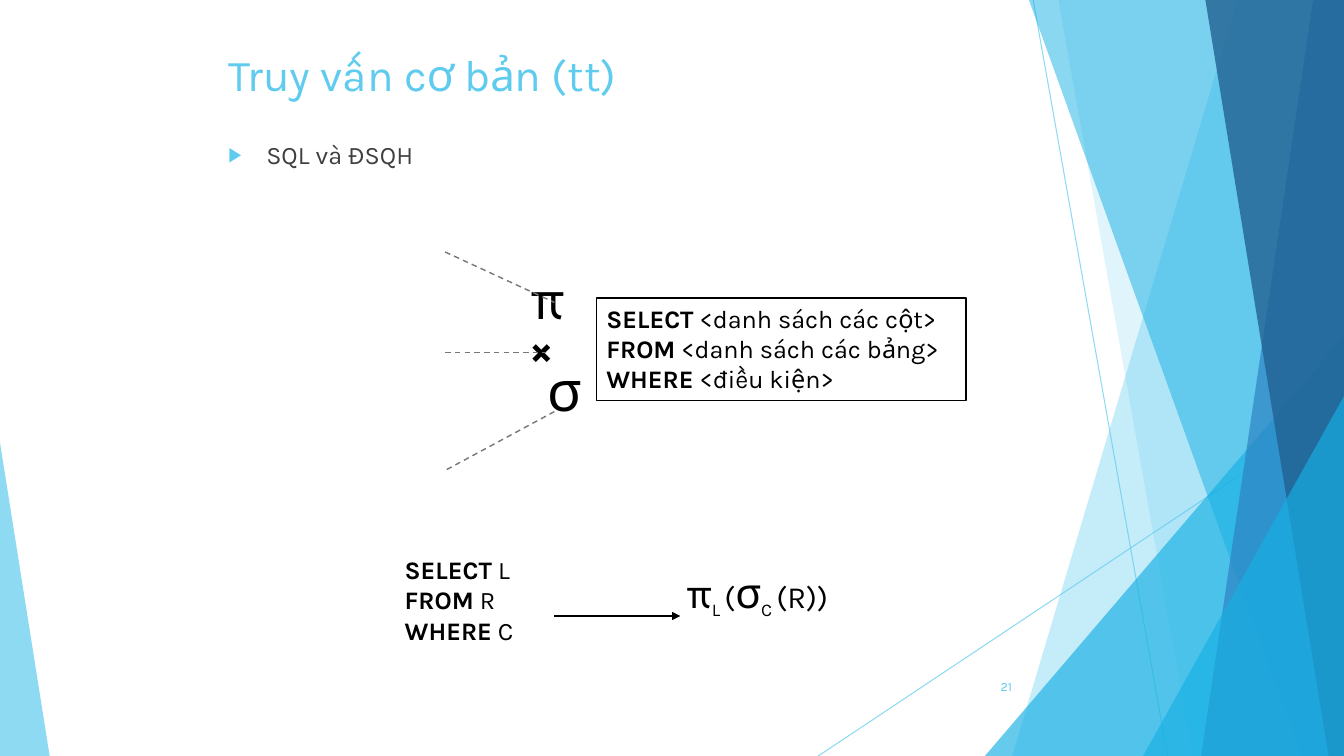
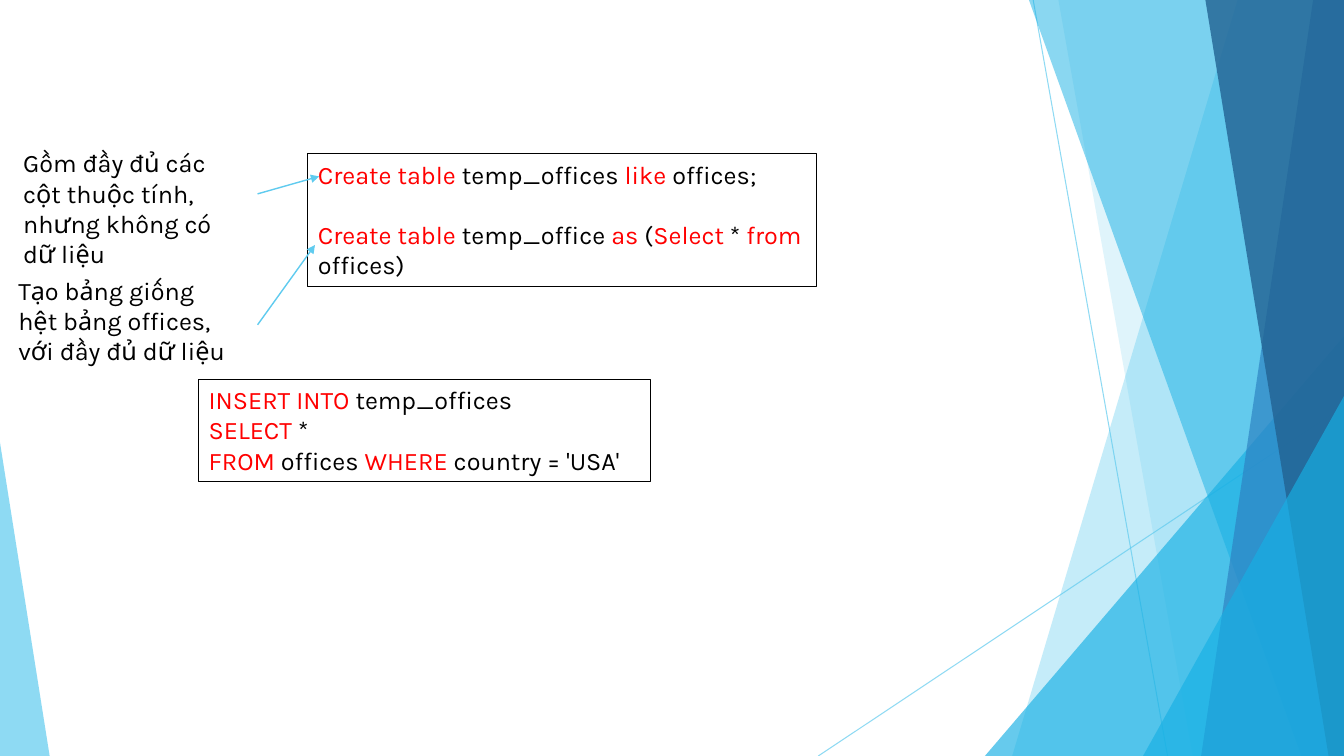
from lxml.etree import SubElement
from pptx import Presentation
from pptx.dml.color import RGBColor
from pptx.enum.dml import MSO_LINE
from pptx.enum.shapes import MSO_CONNECTOR, MSO_SHAPE
from pptx.enum.text import MSO_ANCHOR, MSO_AUTO_SIZE, PP_ALIGN
from pptx.oxml.ns import qn
from pptx.util import Pt

WIDE, HIGH = 960, 540
FONT = "Karla"
SKY, CYAN, BLUE, NAVY = "5FCBEF", "17B0E4", "2E83C3", "226292"
BLACK, RED, GRAY, DARK = "000000", "FF0000", "777777", "404040"

RAYS = [((738, 0), (834, 540)), ((960, 290), (584.5, 540))]
BANDS = [
    ("panel", (884, 723), SKY, 36),
    ("panel", (756, 852), SKY, 20),
    ("wedge", (703.5, 240, 256.5, 300, 1), CYAN, 66),
    ("panel", (735, 929.5), CYAN, 50),
    ("panel", (938, 858), BLUE, 70),
    ("panel", (861, 949), NAVY, 80),
    ("wedge", (816.5, 283, 143.5, 257, 1), CYAN, 66),
    ("wedge", (0, 316, 35.5, 224, 0), SKY, 70),
]

STYLES = {
    "plain": {},
    "bold": {"bold": True},
    "key": {"color": RED},
    "title": {"size": 31.5, "color": SKY},
    "body": {"color": DARK},
    "page": {"size": 9, "color": SKY},
    "huge": {"size": 40},
    "cross": {"size": 30, "bold": True},
    "greek": {"size": 30},
    "mid": {"size": 22},
    "sub": {"size": 22, "base": -25},
}

TITLE = [[("Truy vấn cơ bản (tt)", "title")]]
BODY = [[("SQL và ĐSQH", "body")]]


def query(*parts):
    words = ("SELECT", "FROM", "WHERE")
    return [[(word, "bold"), (" " + part, "plain")] for word, part in zip(words, parts)]


ALGEBRA = [
    ((426, 213, 264, 73), 1, query("<danh sách các cột>", "<danh sách các bảng>", "<điều kiện>")),
    ((384, 250.5, 66, 55), 0, [[("σ", "huge")]]),
    ((372, 185, 66, 55), 0, [[("π", "huge")]]),
    ((372, 227, 66, 43), 0, [[("×", "cross")]]),
    ((282, 392.5, 114, 73), 0, query("L", "R", "C")),
    ((483, 401, 150, 43), 0, [[
        ("π", "greek"), ("L ", "sub"), ("(", "mid"),
        ("σ", "greek"), ("C ", "sub"), ("(R))", "mid"),
    ]]),
]
DASHES = [((318, 180), (396, 216)), ((318, 252), (390, 252)), ((396, 294), (318, 336))]
RESULT = ((396, 440), (486, 440))

COPIES = [
    ((220, 110, 363, 94.5), 0.75, [
        [("Create table ", "key"), ("temp_offices ", "plain"), ("like", "key"), (" offices;", "plain")],
        [("Create table ", "key"), ("temp_office ", "plain"), ("as", "key"), (" (", "plain"),
         ("Select", "key"), (" * ", "plain"), ("from", "key"), (" offices)", "plain")],
    ]),
    ((142, 271, 322.5, 73), 0.75, [
        [("INSERT INTO", "key"), (" temp_offices", "plain")],
        [("SELECT", "key"), (" *", "plain")],
        [("FROM ", "key"), ("offices ", "plain"), ("WHERE", "key"), (" country = 'USA'", "plain")],
    ]),
    ((9.5, 102, 175, 73), 0, [[("Gồm đầy đủ các cột thuộc tính, nhưng không có dữ liệu", "plain")]]),
    ((6, 193, 165.5, 73), 0, [[("Tạo bảng giống hệt bảng offices, với đầy đủ dữ liệu", "plain")]]),
]
POINTERS = [((184, 138.5), (228, 126)), ((184, 232), (225, 175))]


def paint(fill, color, alpha=100):
    fill.solid()
    fill.fore_color.rgb = RGBColor.from_string(color)
    if alpha < 100:
        for tone in fill._xPr.iter(qn("a:srgbClr")):
            SubElement(tone, qn("a:alpha"), val=str(alpha * 1000))


def place(shape, spot):
    shape.left, shape.top, shape.width, shape.height = map(Pt, spot)


def write(frame, rows, gap=0):
    frame.word_wrap = True
    frame.auto_size = MSO_AUTO_SIZE.NONE
    for i, row in enumerate(rows):
        para = frame.paragraphs[0] if i == 0 else frame.add_paragraph()
        para.alignment = PP_ALIGN.LEFT
        para.space_before = Pt(gap if i else 0)
        for text, name in row:
            style = STYLES[name]
            run = para.add_run()
            run.text = text
            font = run.font
            font.name = FONT
            font.size = Pt(style.get("size", 18))
            font.bold = style.get("bold", False)
            font.color.rgb = RGBColor.from_string(style.get("color", BLACK))
            if "base" in style:
                run._r.get_or_add_rPr().set("baseline", str(style["base"] * 1000))


def draw(slide, ends, color, width=1, alpha=100, dash=False, arrow=False):
    start, end = ends
    line = slide.shapes.add_connector(MSO_CONNECTOR.STRAIGHT, *map(Pt, start + end))
    line.line.width = Pt(width)
    paint(line.line.fill, color, alpha)
    if dash:
        line.line.dash_style = MSO_LINE.DASH
    if arrow:
        SubElement(line.line._get_or_add_ln(), qn("a:tailEnd"), type="triangle")
    SubElement(line._element.spPr, qn("a:effectLst"))
    return line


def box(slide, spot, edge, rows, gap=0):
    if edge:
        shape = slide.shapes.add_shape(MSO_SHAPE.RECTANGLE, *map(Pt, spot))
        shape.shadow.inherit = False
        shape.fill.background()
        paint(shape.line.fill, BLACK)
        shape.line.width = Pt(edge)
    else:
        shape = slide.shapes.add_textbox(*map(Pt, spot))
    shape.text_frame.vertical_anchor = MSO_ANCHOR.TOP
    write(shape.text_frame, rows, gap)
    return shape


def band(slide, kind, dims, color, alpha):
    if kind == "panel":
        top, foot = dims
        path = slide.shapes.build_freeform(Pt(top), 0, scale=1)
        path.add_line_segments(
            [(Pt(x), Pt(y)) for x, y in ((WIDE, 0), (WIDE, HIGH), (foot, HIGH))], close=True)
        shape = path.convert_to_shape()
    else:
        shape = slide.shapes.add_shape(MSO_SHAPE.ISOSCELES_TRIANGLE, *map(Pt, dims[:4]))
        shape.adjustments[0] = dims[4]
    shape.shadow.inherit = False
    shape.line.fill.background()
    paint(shape.fill, color, alpha)
    return shape


def dress(deck, slide):
    parts = [draw(slide, ray, SKY, 0.75, 70) for ray in RAYS]
    parts += [band(slide, *item) for item in BANDS]
    tree = deck.slide_master.shapes.element
    for i, part in enumerate(parts):
        tree.insert(2 + i, part.element)


def bullet(para):
    props = para._p.get_or_add_pPr()
    props.set("marL", str(Pt(27)))
    props.set("indent", str(-Pt(27)))
    SubElement(SubElement(props, qn("a:buClr")), qn("a:srgbClr"), val=SKY)
    SubElement(props, qn("a:buSzPct"), val="80000")
    SubElement(props, qn("a:buFont"), typeface="Arial")
    SubElement(props, qn("a:buChar"), char="▶")


def algebra(slide):
    title, body = slide.shapes.title, slide.placeholders[1]
    place(title, (156, 28, 648, 49))
    title.text_frame.vertical_anchor = MSO_ANCHOR.MIDDLE
    write(title.text_frame, TITLE)
    place(body, (156, 96, 648, 420))
    bullet(body.text_frame.paragraphs[0])
    write(body.text_frame, BODY)
    page = box(slide, (676, 476, 54, 29), 0, [[("21", "page")]])
    page.text_frame.vertical_anchor = MSO_ANCHOR.MIDDLE
    page.text_frame.paragraphs[0].alignment = PP_ALIGN.RIGHT
    for item in ALGEBRA:
        box(slide, *item)
    for ends in DASHES:
        draw(slide, ends, GRAY, dash=True)
    draw(slide, RESULT, BLACK, arrow=True)


def copies(slide):
    for i, item in enumerate(COPIES):
        box(slide, *item, gap=0 if i else 21.6)
    for ends in POINTERS:
        draw(slide, ends, SKY, arrow=True)


def main():
    deck = Presentation()
    deck.slide_width, deck.slide_height = Pt(WIDE), Pt(HIGH)
    first = deck.slides.add_slide(deck.slide_layouts[1])
    dress(deck, first)
    algebra(first)
    copies(deck.slides.add_slide(deck.slide_layouts[6]))
    deck.save("out.pptx")


if __name__ == "__main__":
    main()
